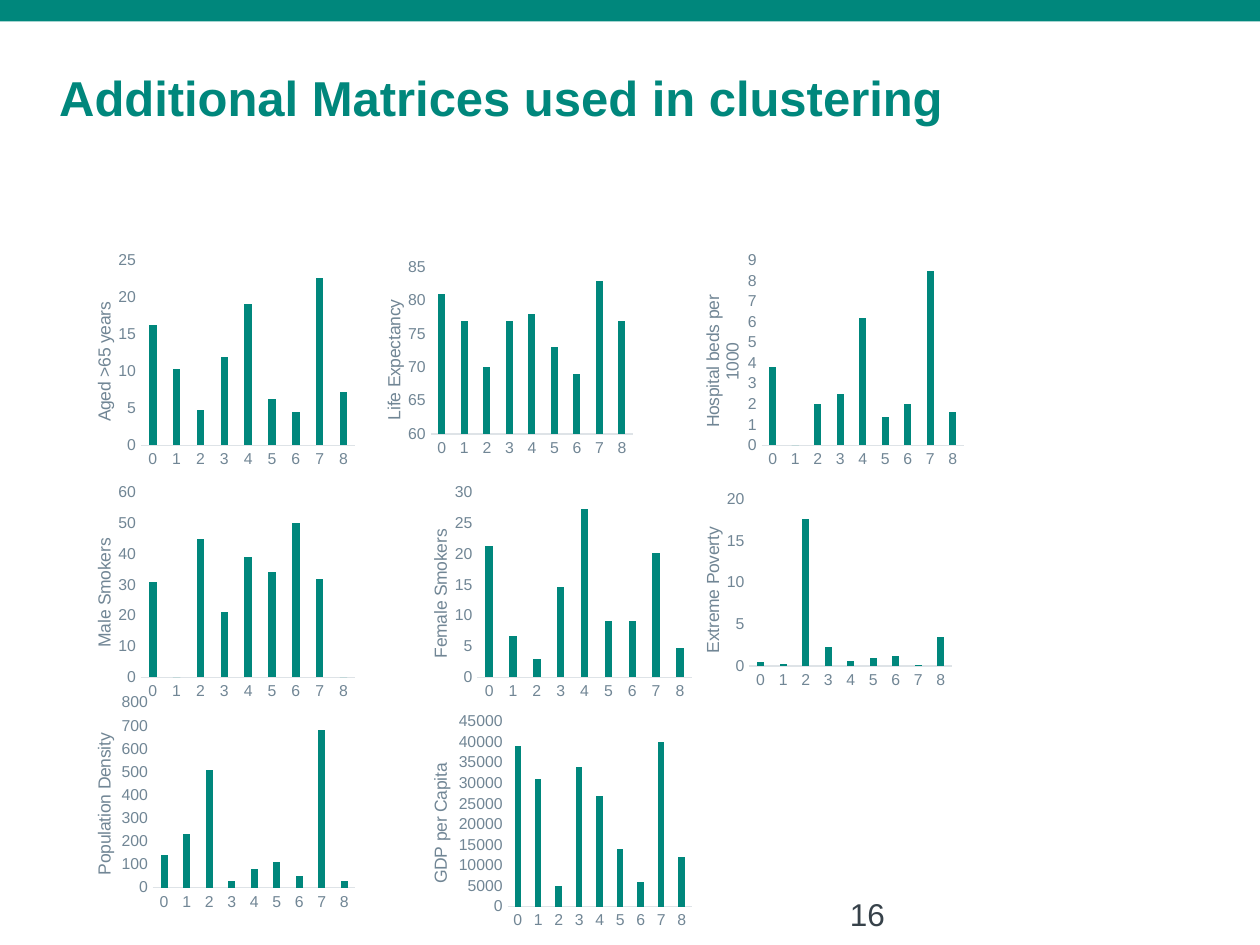
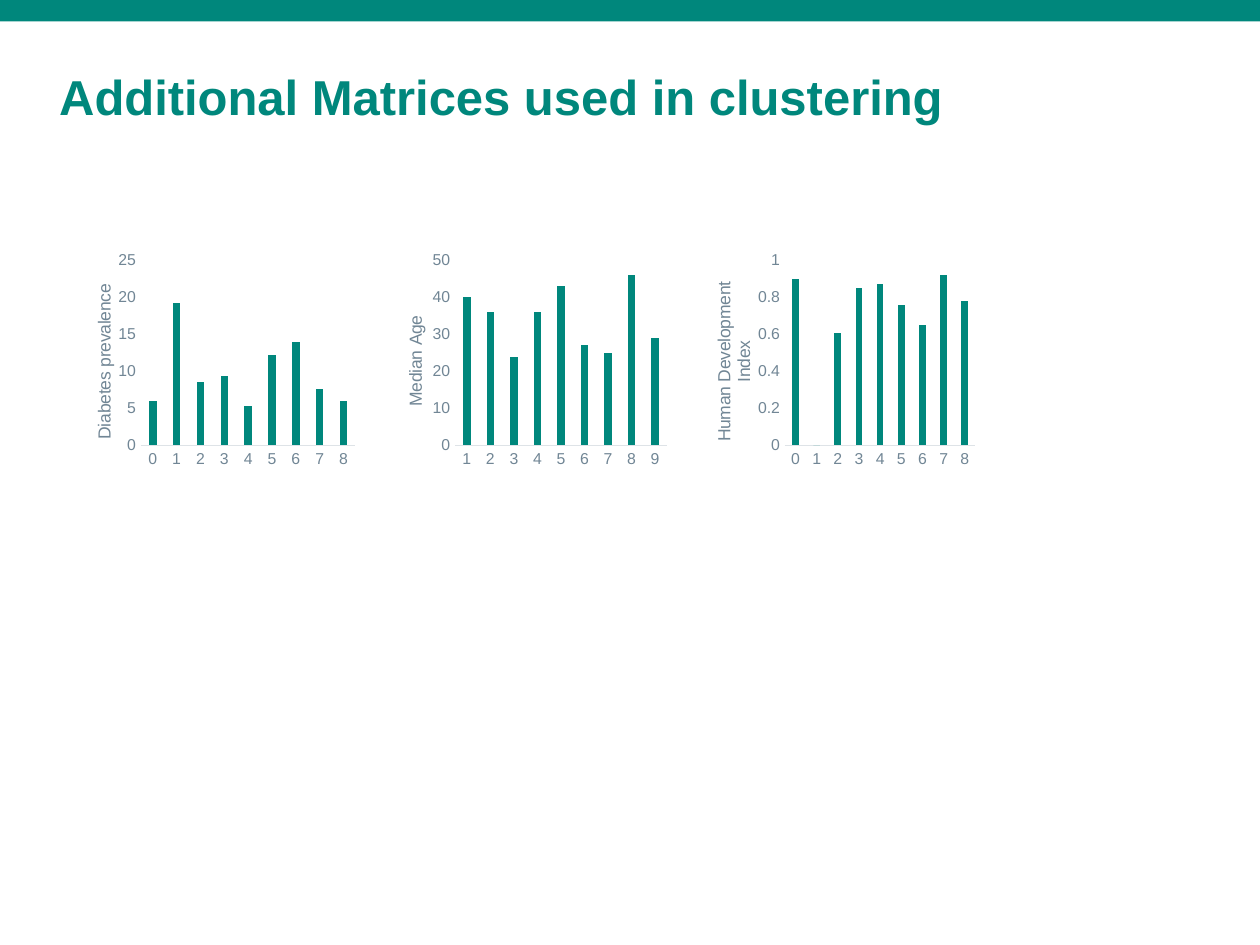
from dataclasses import dataclass

from lxml import etree
from pptx import Presentation
from pptx.chart.data import CategoryChartData
from pptx.dml.color import RGBColor
from pptx.enum.chart import XL_CHART_TYPE as ChartType, XL_TICK_MARK as TickMark
from pptx.enum.shapes import MSO_SHAPE as Shape
from pptx.enum.text import MSO_ANCHOR as Anchor, PP_ALIGN as Align
from pptx.oxml.ns import qn
from pptx.util import Inches, Pt

COLORS = {"teal": "00877C", "ink": "37424A", "label": "718695", "axis": "DEE3E7"}
FONT = "Arial"
HEADING = "Additional Matrices used in clustering"
CHART_W, CHART_H = 2.4, 1.79
ROW_TOPS = (1.96, 3.8)
PLOT_TOP, PLOT_RIGHT, PLOT_H = 0.06, 0.98, 0.82
INSET_PLOT = (0.27, 0.09, 0.67, 0.74)
LABEL_LEFT = 0.1


@dataclass
class Metric:
    label: str
    left: float
    top: float
    values: tuple
    scale: tuple
    label_top: float
    plot_left: float = 0.27
    inset: bool = False
    first_cluster: int = 0

    def plot_box(self):
        if self.inset:
            return INSET_PLOT
        return self.plot_left, PLOT_TOP, PLOT_RIGHT - self.plot_left, PLOT_H


POPULATION_METRICS = [
    Metric("Aged >65 years", 0.47, ROW_TOPS[0],
           (16.3, 10.3, 4.8, 12, 19.1, 6.3, 4.5, 22.6, 7.2), (0, 25, 5), 0.23),
    Metric("Life Expectancy", 2.77, ROW_TOPS[0],
           (81, 77, 70, 77, 78, 73, 69, 83, 77), (60, 85, 5), 0.22, inset=True),
    Metric("Hospital beds per 1000", 5.3, ROW_TOPS[0],
           (3.8, 0, 2, 2.5, 6.2, 1.4, 2, 8.5, 1.6), (0, 9, 1), 0.2, 0.31),
    Metric("Male Smokers", 0.47, ROW_TOPS[1],
           (31, 0, 45, 21, 39, 34, 50, 32, 0), (0, 60, 10), 0.25),
    Metric("Female Smokers", 3.14, ROW_TOPS[1],
           (21.3, 6.7, 3, 14.6, 27.3, 9.1, 9.1, 20.1, 4.8), (0, 30, 5), 0.21),
    Metric("Extreme Poverty", 5.3, ROW_TOPS[1],
           (0.5, 0.2, 17.6, 2.3, 0.6, 0.9, 1.2, 0.1, 3.5), (0, 20, 5), 0.2, inset=True),
    Metric("Population Density", 0.47, 5.47,
           (140, 230, 510, 30, 80, 110, 50, 680, 30), (0, 800, 100), 0.18, 0.31),
    Metric("GDP per Capita", 3.14, 5.62,
           (39000, 31000, 5000, 34000, 27000, 14000, 6000, 40000, 12000),
           (0, 45000, 5000), 0.23, 0.37),
]
HEALTH_METRICS = [
    Metric("Diabetes prevalence", 0.47, ROW_TOPS[0],
           (6, 19.2, 8.5, 9.4, 5.3, 12.2, 14, 7.6, 6), (0, 25, 5), 0.15),
    Metric("Median Age", 2.94, ROW_TOPS[0],
           (40, 36, 24, 36, 43, 27, 25, 46, 29), (0, 50, 10), 0.29, 0.28,
           first_cluster=1),
    Metric("Human Development Index", 5.39, ROW_TOPS[0],
           (0.9, 0, 0.61, 0.85, 0.87, 0.76, 0.65, 0.92, 0.78), (0, 1, 0.2), 0.14, 0.35),
]


def rgb(name):
    return RGBColor.from_string(COLORS[name])


def style_font(font, size, color, bold=False):
    font.name, font.size, font.bold = FONT, Pt(size), bold
    font.color.rgb = rgb(color)


def add_text(slide, box, text, size, color, bold=False):
    frame = slide.shapes.add_textbox(*map(Inches, box)).text_frame
    frame.word_wrap = True
    frame.text = text
    style_font(frame.paragraphs[0].runs[0].font, size, color, bold)
    return frame


def add_heading(slide, box):
    frame = add_text(slide, box, HEADING, 28, "teal", True)
    frame.margin_left = frame.margin_top = frame.margin_right = frame.margin_bottom = 0
    frame.vertical_anchor = Anchor.MIDDLE
    frame.paragraphs[0].line_spacing = 0.9


def add_band(slide, box):
    band = slide.shapes.add_shape(Shape.RECTANGLE, *map(Inches, box))
    band.shadow.inherit = False
    band.fill.solid()
    band.fill.fore_color.rgb = rgb("teal")
    band.line.fill.background()


def add_page_number(slide, box, number):
    frame = add_text(slide, box, number, 18, "ink")
    frame.paragraphs[0].alignment = Align.CENTER


def set_layout(parent, before, settings):
    for old in parent.findall(qn("c:layout")):
        parent.remove(old)
    layout = etree.Element(qn("c:layout"))
    manual = etree.SubElement(layout, qn("c:manualLayout"))
    for tag, value in settings.items():
        etree.SubElement(manual, qn(f"c:{tag}")).set("val", str(value))
    if before is None:
        parent.insert(0, layout)
    else:
        before.addnext(layout)


def style_axes(chart, metric):
    for axis in (chart.category_axis, chart.value_axis):
        axis.has_major_gridlines = False
        axis.major_tick_mark = axis.minor_tick_mark = TickMark.NONE
        style_font(axis.tick_labels.font, 9, "label")
    cluster_line = chart.category_axis.format.line
    cluster_line.color.rgb = rgb("axis")
    cluster_line.width = Pt(0.75)
    scale = chart.value_axis
    scale.format.line.fill.background()
    scale.minimum_scale, scale.maximum_scale, scale.major_unit = metric.scale
    label = scale.axis_title
    label.text_frame.text = metric.label
    style_font(label.text_frame.paragraphs[0].runs[0].font, 10, "label")
    body = label.text_frame._txBody.find(qn("a:bodyPr"))
    body.set("rot", "-5400000")
    body.set("vert", "horz")
    title = scale._element.find(qn("c:title"))
    set_layout(title, title.find(qn("c:tx")),
               {"xMode": "edge", "yMode": "edge", "x": LABEL_LEFT, "y": metric.label_top})


def add_metric_chart(slide, metric):
    data = CategoryChartData()
    data.categories = [str(metric.first_cluster + i) for i in range(len(metric.values))]
    data.add_series("Series 1", metric.values)
    box = map(Inches, (metric.left, metric.top, CHART_W, CHART_H))
    chart = slide.shapes.add_chart(ChartType.COLUMN_CLUSTERED, *box, data).chart
    style_font(chart.font, 10, "ink")
    chart.has_title = chart.has_legend = False
    plot = chart.plots[0]
    plot.gap_width, plot.overlap, plot.vary_by_categories = 219, -27, False
    bars = plot.series[0].format
    bars.fill.solid()
    bars.fill.fore_color.rgb = rgb("teal")
    bars.line.fill.background()
    style_axes(chart, metric)
    x, y, w, h = metric.plot_box()
    set_layout(chart._chartSpace.chart.plotArea, None,
               {"layoutTarget": "inner", "xMode": "edge", "yMode": "edge",
                "x": x, "y": y, "w": round(w, 2), "h": h})


def add_metrics_slide(deck, heading_top, metrics, number=None):
    slide = deck.slides.add_slide(deck.slide_layouts[6])
    add_band(slide, (0, 0, 10, 0.17))
    add_heading(slide, (0.47, heading_top, 9.16, 1.06))
    if number:
        add_page_number(slide, (5.72, 7.05, 2.33, 0.21), number)
    for metric in metrics:
        add_metric_chart(slide, metric)


def main():
    deck = Presentation()
    deck.slide_width, deck.slide_height = Inches(10), Inches(7.5)
    add_metrics_slide(deck, 0.27, POPULATION_METRICS, "16")
    add_metrics_slide(deck, 0.26, HEALTH_METRICS)
    deck.save("out.pptx")


if __name__ == "__main__":
    main()
